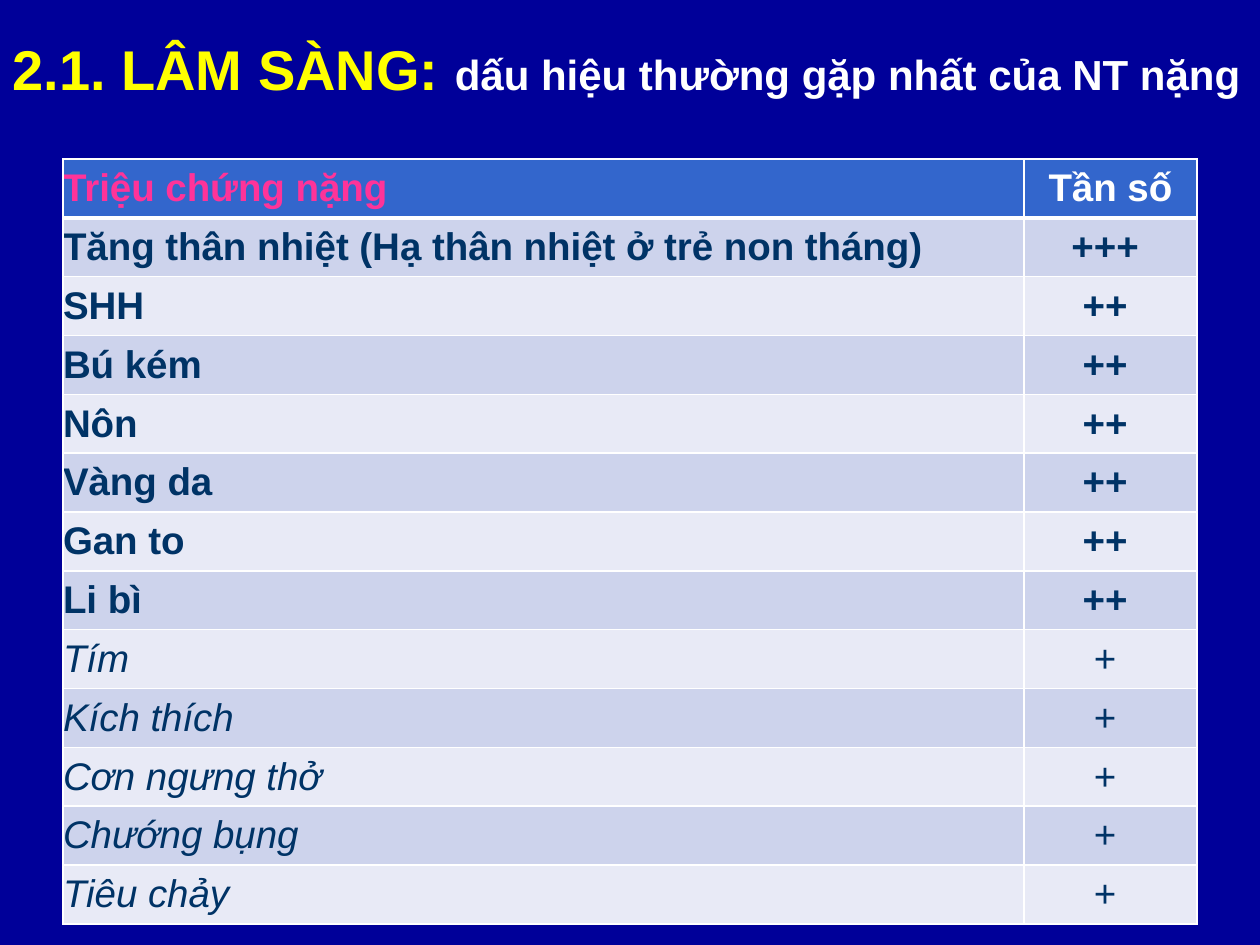
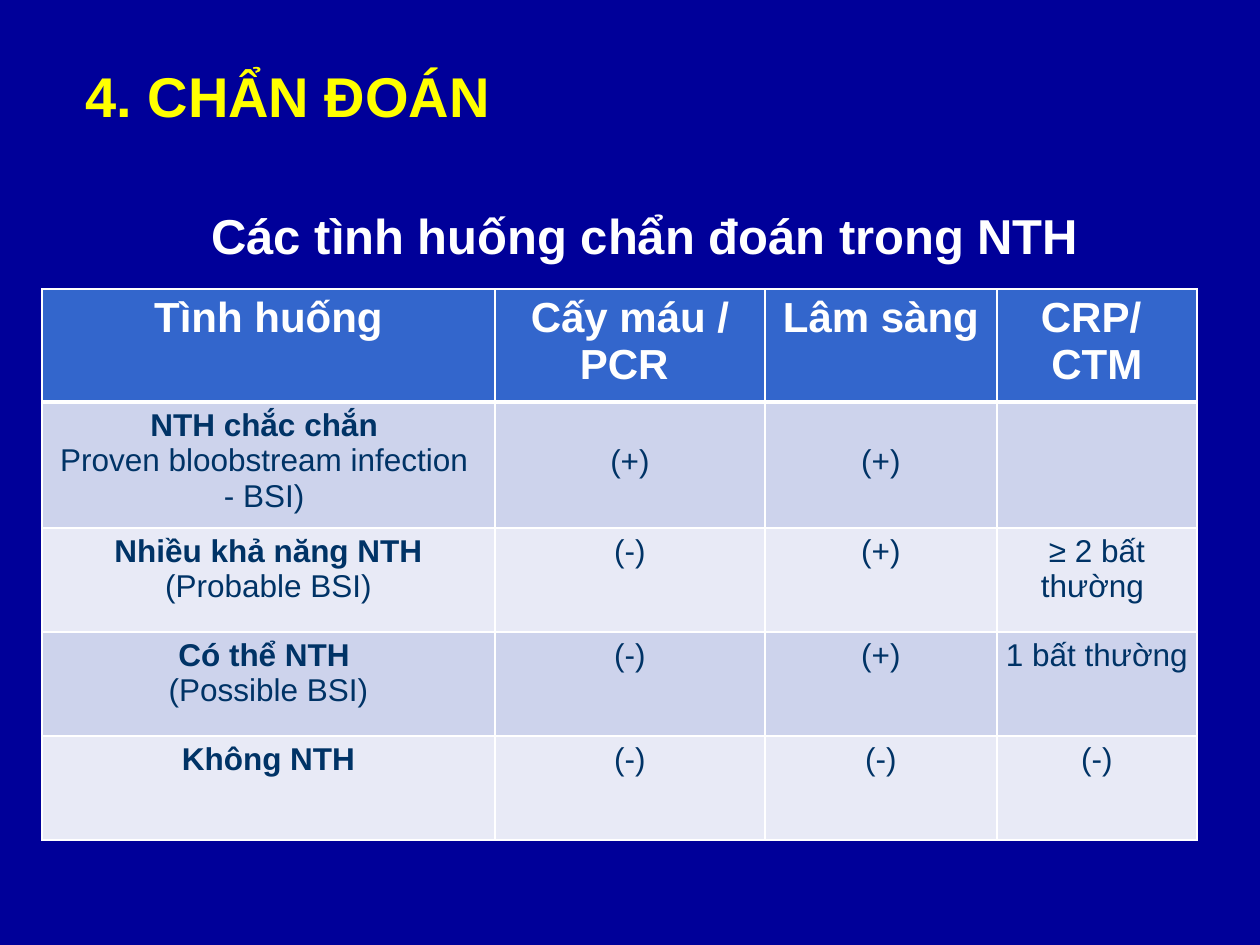
"""Build two slides on the clinical signs and the diagnosis of neonatal sepsis."""
from collections import namedtuple

from lxml import etree
from pptx import Presentation
from pptx.dml.color import RGBColor
from pptx.enum.text import MSO_ANCHOR, PP_ALIGN
from pptx.oxml.ns import qn
from pptx.util import Emu, Pt

LEFT, CENTER = PP_ALIGN.LEFT, PP_ALIGN.CENTER
TOP, MIDDLE = MSO_ANCHOR.TOP, MSO_ANCHOR.MIDDLE
PX = 914400 // 126
FONT = "Arial"
NAVY, YELLOW, WHITE, PINK, INK = "000099", "FFFF00", "FFFFFF", "FF3399", "003366"
HEADER_FILL, BANDS = "3366CC", ("CDD3EC", "E8EAF6")

Style = namedtuple("Style", "size color bold italic", defaults=(False, False))
HEADING = Style(32, YELLOW, True)
SIGNS_SUBHEAD = Style(24, WHITE, True)
CASES_SUBHEAD = Style(28, WHITE, True)
SIGNS_HEAD = Style(22, WHITE, True)
SIGN_STRONG = Style(22, INK, True)
SIGN_PLAIN = Style(22, INK)
SIGN_ITALIC = Style(22, INK, False, True)
CASES_HEAD = Style(24, WHITE, True)
CASE_NAME = Style(18, INK, True)
CASE_TEXT = Style(18, INK)

SIGNS_TITLE = [[("2.1. LÂM SÀNG: ", HEADING),
                ("dấu hiệu thường gặp nhất của NT nặng", SIGNS_SUBHEAD)]]
SIGNS_HEADER = [("Triệu chứng nặng", SIGNS_HEAD._replace(color=PINK)), ("Tần số", SIGNS_HEAD)]
MAJOR_SIGNS = [
    ("Tăng thân nhiệt (Hạ thân nhiệt ở trẻ non tháng)", "+++ "),
    ("SHH", "++ "),
    ("Bú kém", "++ "),
    ("Nôn", "++ "),
    ("Vàng da", "++ "),
    ("Gan to", "++ "),
    ("Li bì", "++ "),
]
MINOR_SIGNS = ["Tím", "Kích thích", "Cơn ngưng thở", "Chướng bụng", "Tiêu chảy"]

CASES_TITLE = [[("4. CHẨN ĐOÁN", HEADING)],
               [("Các tình huống chẩn đoán trong NTH", CASES_SUBHEAD)]]
CASES_HEADER = [["Tình huống"], ["Cấy máu / PCR "], ["Lâm sàng"], ["CRP/ ", "CTM"]]
CASES = [
    ([[("NTH chắc chắn ", CASE_NAME)],
      [("Proven bloobstream infection ", CASE_TEXT)],
      [("- BSI) ", CASE_TEXT)]], "(+)", "(+)", ""),
    ([[("Nhiều khả năng NTH ", CASE_NAME), ("(Probable BSI)", CASE_TEXT)]],
     "(-)", "(+)", "≥ 2 bất thường "),
    ([[("Có thể NTH ", CASE_NAME)], [("(Possible BSI)", CASE_TEXT)]],
     "(-)", "(+)", "1 bất thường"),
    ([[("Không NTH", CASE_NAME)]], "(-)", "(-)", "(-)"),
]


def px(length):
    return Emu(round(length * PX))


def rgb(color):
    return RGBColor.from_string(color)


def set_font(font, style):
    font.name = FONT
    font.size = Pt(style.size)
    font.bold = style.bold
    font.italic = style.italic
    font.color.rgb = rgb(style.color)


def write(frame, paragraphs, aligns):
    for index, runs in enumerate(paragraphs):
        paragraph = frame.paragraphs[0] if index == 0 else frame.add_paragraph()
        paragraph.alignment = aligns
        styles = {style for _, style in runs}
        if len(styles) == 1:
            set_font(paragraph.font, runs[0][1])
        for text, style in runs:
            if not text:
                continue
            run = paragraph.add_run()
            run.text = text
            if len(styles) > 1:
                set_font(run.font, style)


def new_slide(deck):
    slide = deck.slides.add_slide(deck.slide_layouts[6])
    slide.background.fill.solid()
    slide.background.fill.fore_color.rgb = rgb(NAVY)
    return slide


def add_title(slide, box, paragraphs):
    frame = slide.shapes.add_textbox(*map(px, box)).text_frame
    frame.word_wrap = True
    frame.vertical_anchor = MIDDLE
    write(frame, paragraphs, LEFT)
    return frame


def add_border(cell, side, points):
    line = etree.SubElement(cell._tc.get_or_add_tcPr(), qn(f"a:ln{side}"), w=str(Pt(points)))
    fill = etree.SubElement(line, qn("a:solidFill"))
    etree.SubElement(fill, qn("a:srgbClr"), val=WHITE)


def add_grid(slide, left, top, widths, heights, rows, aligns, anchor):
    table = slide.shapes.add_table(len(rows), len(widths), px(left), px(top),
                                   px(sum(widths)), px(sum(heights))).table
    for column, width in zip(table.columns, widths):
        column.width = px(width)
    for r, (contents, height) in enumerate(zip(rows, heights)):
        table.rows[r].height = px(height)
        for c, paragraphs in enumerate(contents):
            cell = table.cell(r, c)
            cell.margin_left = cell.margin_right = 0
            cell.margin_top = cell.margin_bottom = px(6)
            cell.vertical_anchor = anchor
            for side in "LRTB":
                under_header = (r, side) in ((0, "B"), (1, "T"))
                add_border(cell, side, 3 if under_header else 1)
            cell.fill.solid()
            cell.fill.fore_color.rgb = rgb(BANDS[(r - 1) % 2] if r else HEADER_FILL)
            write(cell.text_frame, paragraphs, aligns[c])
    return table


def build_signs(deck):
    slide = new_slide(deck)
    add_title(slide, (0, 21, 1323, 95), SIGNS_TITLE)
    lines = [SIGNS_HEADER]
    lines += [[(sign, SIGN_STRONG), (count, SIGN_STRONG)] for sign, count in MAJOR_SIGNS]
    lines += [[(sign, SIGN_ITALIC), ("+ ", SIGN_PLAIN)] for sign in MINOR_SIGNS]
    rows = [[[[run]] for run in line] for line in lines]
    heights = [765 / len(rows)] * len(rows)
    add_grid(slide, 63, 159, (961, 173), heights, rows, (LEFT, CENTER), MIDDLE)


def build_cases(deck):
    slide = new_slide(deck)
    title = add_title(slide, (73, 91, 1092, 161), CASES_TITLE)
    title.margin_bottom = px(24)
    subhead = title.paragraphs[1]
    subhead.space_before = Pt(44)
    subhead._p.get_or_add_pPr().set("marL", str(px(126)))
    rows = [[[[(text, CASES_HEAD)] for text in head] for head in CASES_HEADER]]
    rows += [[name] + [[[(text, CASE_TEXT)]] for text in results] for name, *results in CASES]
    table = add_grid(slide, 42, 289, (453, 270, 232, 200), (113, 126, 104, 104, 104),
                     rows, [CENTER] * 4, TOP)
    for column in (1, 2):
        table.cell(1, column).margin_top = px(42)


def main():
    deck = Presentation()
    deck.slide_width, deck.slide_height = px(1260), px(945)
    build_signs(deck)
    build_cases(deck)
    deck.save("out.pptx")


if __name__ == "__main__":
    main()
